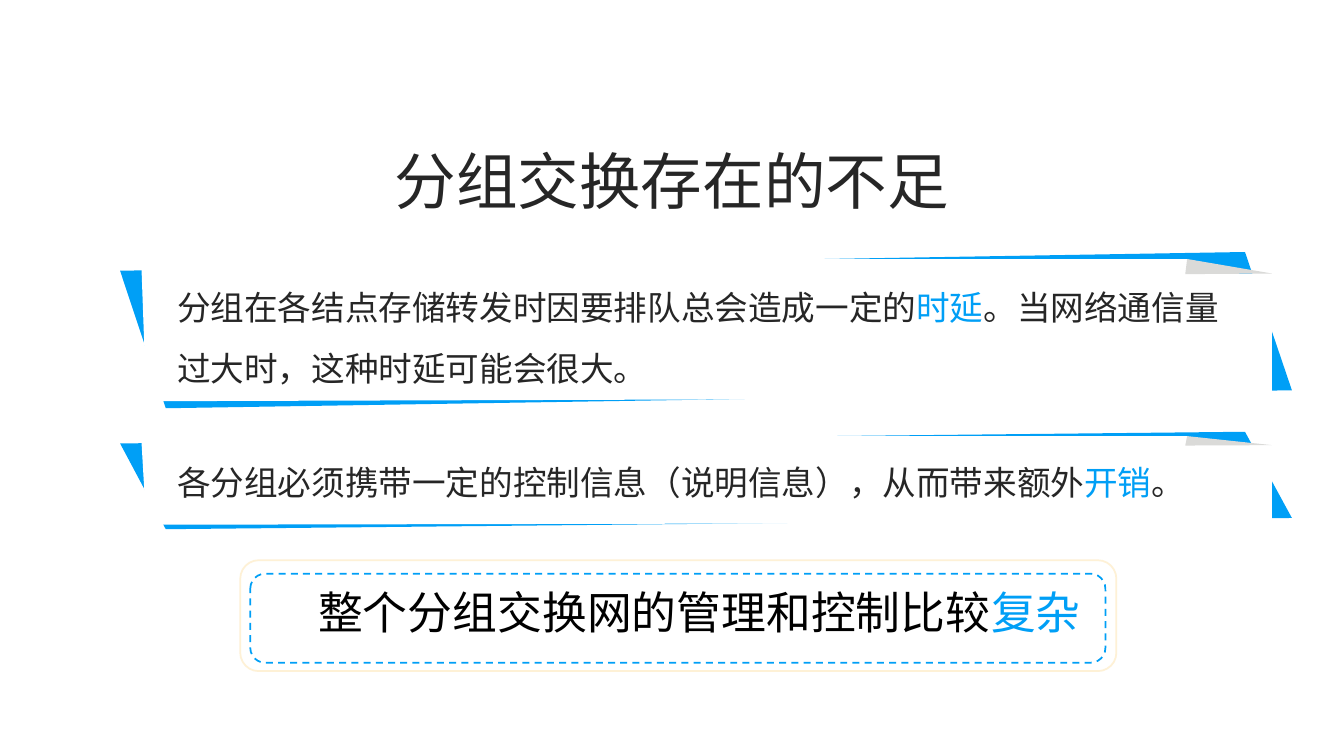
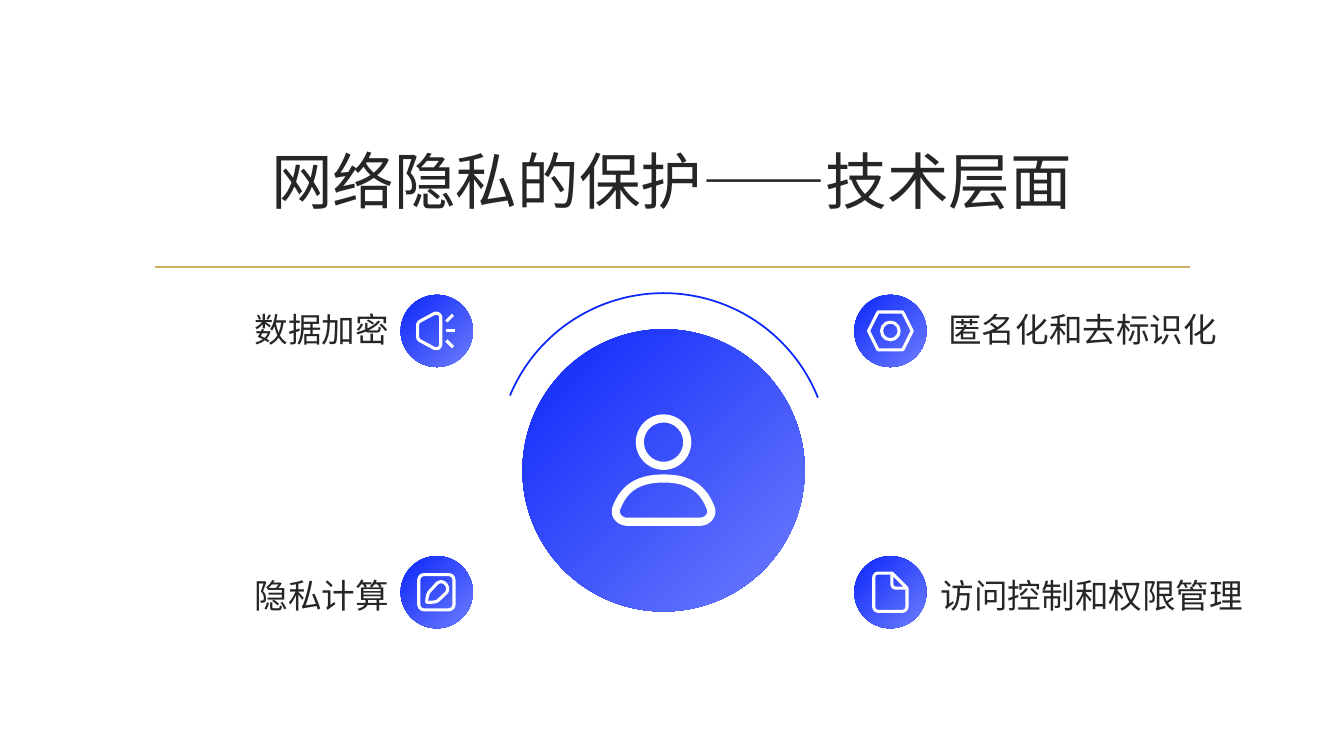
from dataclasses import dataclass

from lxml.etree import SubElement
from pptx import Presentation
from pptx.dml.color import RGBColor
from pptx.enum.dml import MSO_LINE
from pptx.enum.lang import MSO_LANGUAGE_ID
from pptx.enum.shapes import MSO_CONNECTOR, MSO_SHAPE
from pptx.enum.text import MSO_ANCHOR, PP_ALIGN
from pptx.oxml.ns import qn
from pptx.util import Emu, Pt

COLS, ROWS, CELL = 160, 90, 76200
ICON = 0.12


@dataclass(frozen=True)
class Theme:
    ink: str = "262626"
    black: str = "000000"
    white: str = "FFFFFF"
    sky: str = "009FF6"
    fold: str = "DADAD8"
    cream: str = "FEF1D6"
    gold: str = "CBAF62"
    blue: str = "0C27FA"
    pale: str = "6D7DFC"
    sans: str = "Noto Sans CJK SC"
    serif: str = "Times New Roman"
    head: int = 44
    note: int = 32
    body: int = 24
    thin: float = 1.25
    icon: float = 2.2
    bold: float = 5.8


T = Theme()


def grid(*cells):
    return [Emu(round(c * CELL)) for c in cells]


def rgb(code):
    return RGBColor.from_string(code)


def paint(shape, fill=None, line=None, width=T.thin):
    shape.shadow.inherit = False
    if fill:
        shape.fill.solid()
        shape.fill.fore_color.rgb = rgb(fill)
    else:
        shape.fill.background()
    if line:
        shape.line.color.rgb = rgb(line)
        shape.line.width = Pt(width)
    else:
        shape.line.fill.background()
    return shape


def form(slide, kind, box, **look):
    return paint(slide.shapes.add_shape(kind, *grid(*box)), **look)


def disc(slide, x, y, size, **look):
    box = (x - size / 2, y - size / 2, size, size)
    return form(slide, MSO_SHAPE.OVAL, box, **look)


def stroke(slide, start, end, color, width=T.thin):
    line = slide.shapes.add_connector(
        MSO_CONNECTOR.STRAIGHT, *grid(*start, *end))
    line.line.color.rgb = rgb(color)
    line.line.width = Pt(width)
    SubElement(line._element.spPr, qn("a:effectLst"))


def poly(slide, points, close=True, **look):
    first, *rest = [grid(*p) for p in points]
    pen = slide.shapes.build_freeform(*first, scale=1)
    pen.add_line_segments(rest, close=close)
    return paint(pen.convert_to_shape(), **look)


def bend(start, curve, steps=12):
    a, b, c, d = start, curve[:2], curve[2:4], curve[4:]
    for i in range(1, steps + 1):
        t = i / steps
        u = 1 - t
        yield tuple(
            u**3 * p + 3 * u * u * t * q + 3 * u * t * t * r + t**3 * s
            for p, q, r, s in zip(a, b, c, d))


def trace(slide, x, y, moves, width=T.icon, close=True):
    points = []
    for move in moves:
        points += bend(points[-1], move) if len(move) == 6 else [move]
    spots = [(x + a * ICON, y + b * ICON) for a, b in points]
    poly(slide, spots, close, line=T.white, width=width)


def text(slide, box, parts, size=T.body, font=T.sans, color=T.ink,
         align=PP_ALIGN.LEFT, space=None, inset=True,
         anchor=MSO_ANCHOR.TOP):
    frame = slide.shapes.add_textbox(*grid(*box)).text_frame
    frame.word_wrap = True
    frame.vertical_anchor = anchor
    if not inset:
        frame.margin_left = frame.margin_right = 0
        frame.margin_top = frame.margin_bottom = 0
    para = frame.paragraphs[0]
    para.alignment = align
    para.line_spacing = space
    para.font.size = Pt(size)
    para.font.name = font
    para.font.language_id = MSO_LANGUAGE_ID.SIMPLIFIED_CHINESE
    para.font.color.rgb = rgb(color)
    for i, part in enumerate(parts):
        run = para.add_run()
        run.text = part
        if i % 2:
            run.font.color.rgb = rgb(T.sky)


def head(slide, words):
    text(slide, (17, 12.8, 126, 17.2), [words], T.head,
         align=PP_ALIGN.CENTER, anchor=MSO_ANCHOR.MIDDLE)


def band(slide, top, high):
    layers = (
        (T.sky, [(0, 12), (3.9, 100), (100, 88.5), (96, 0)]),
        (T.white, [(1.8, 4.5), (2.24, 95.5), (98.3, 93.3), (98.3, 13.8),
                   (91.06, 13.8), (91.06, 4.5)]),
        (T.fold, [(91.06, 4.5), (98.3, 13.8), (90.9, 14.2)]),
    )
    for color, points in layers:
        spots = [(14.3 + 139.5 * a / 100, top + high * b / 100)
                 for a, b in points]
        poly(slide, spots, fill=color)


def badge(slide, x, y, size):
    fill = disc(slide, x, y, size).fill
    fill.gradient()
    fill.gradient_angle = 315
    for stop, color in zip(fill.gradient_stops, (T.blue, T.pale)):
        stop.color.rgb = rgb(color)


def horn(slide, x, y):
    trace(slide, x, y, [
        (4, -13), (4, 13), (4, 17, 0, 18.5, -3, 17), (-16, 10),
        (-18, 9, -19, 7.5, -19, 5), (-19, -5),
        (-19, -7.5, -18, -9, -16, -10), (-3, -17),
        (0, -18.5, 4, -17, 4, -13)])
    for side in (-1, 0, 1):
        reach = 16 if side else 18.5
        stroke(slide, (x + 9.5 * ICON, y + side * 9.5 * ICON),
               (x + reach * ICON, y + side * 16 * ICON), T.white, T.icon)


def nut(slide, x, y):
    form(slide, MSO_SHAPE.HEXAGON, (x - 2.6, y - 2.25, 5.2, 4.5),
         line=T.white, width=T.icon)
    disc(slide, x, y, 2.1, line=T.white, width=T.icon)


def pen(slide, x, y):
    frame = form(slide, MSO_SHAPE.ROUNDED_RECTANGLE,
                 (x - 2.15, y - 2.1, 4.2, 4.2), line=T.white, width=T.icon)
    frame.adjustments[0] = 0.15
    trace(slide, x, y, [
        (-10, 10), (-10, 10, -10, 2, -7, -1), (0, -8.5),
        (2.5, -11, 6, -11, 8.5, -8.5), (11.5, -5.5, 11.5, -1, 8.5, 1.5),
        (1, 8.5), (-2, 10.5, -10, 10, -10, 10)])


def file(slide, x, y):
    trace(slide, x, y, [
        (1.5, -19), (-11.5, -19), (-14.5, -19, -16.5, -17, -16.5, -14),
        (-16.5, 14), (-16.5, 17, -14.5, 19, -11.5, 19), (11.5, 19),
        (14.5, 19, 16.5, 17, 16.5, 14), (16.5, -4)])
    trace(slide, x, y, [
        (1.5, -19), (1.5, -8.5), (1.5, -5.5, 3, -4, 6.5, -4), (16.5, -4)],
        close=False)


def user(slide, x, y):
    disc(slide, x, y - 28 * ICON, 47 * ICON, line=T.white, width=T.bold)
    trace(slide, x, y, [
        (0, 8), (30, 8, 41, 22, 47, 38), (49, 45, 43, 51, 36, 51),
        (-36, 51), (-43, 51, -49, 45, -47, 38), (-41, 22, -30, 8, 0, 8)],
        width=T.bold)


def limits(slide):
    head(slide, "分组交换存在的不足")
    band(slide, 30, 18.6)
    text(slide, (19.9, 31.2, 129, 14.9),
         ["分组在各结点存储转发时因要排队总会造成一定的", "时延",
          "。当网络通信量过大时，这种时延可能会很大。"],
         font=T.serif, space=1.5)
    band(slide, 51.4, 11.6)
    text(slide, (19.9, 54.4, 123.8, 6),
         ["各分组必须携带一定的控制信息（说明信息），从而带来额外", "开销", "。"],
         font=T.serif)
    form(slide, MSO_SHAPE.ROUNDED_RECTANGLE, (28.6, 66.7, 104.3, 13.2),
         fill=T.white, line=T.cream)
    text(slide, (36.7, 69, 97.3, 11.9),
         ["整个分组交换网的管理和控制比较", "复杂"], T.note, color=T.black)
    dash = form(slide, MSO_SHAPE.ROUNDED_RECTANGLE,
                (29.8, 68.3, 101.8, 10.6), line=T.sky)
    dash.line.dash_style = MSO_LINE.DASH


def guard(slide):
    head(slide, "网络隐私的保护——技术层面")
    stroke(slide, (18.4, 31.8), (141.7, 31.8), T.gold)
    mid, gap, high, low = 79, 27, 39.4, 70.5
    badge(slide, mid, 56, 33.6)
    user(slide, mid, 56)
    arc = form(slide, MSO_SHAPE.ARC, (mid - 19.8, 34.9, 39.6, 39.6),
               line=T.blue)
    for i, angle in enumerate((202.6, 338.2)):
        arc.adjustments[i] = angle * 0.6
    left, right = PP_ALIGN.RIGHT, PP_ALIGN.LEFT
    items = (
        (-gap, high, horn, "数据加密", 8.6, 35.3, left),
        (gap, high, nut, "匿名化和去标识化", 112.9, 35.3, right),
        (-gap, low, pen, "隐私计算", 8.6, 67, left),
        (gap, low, file, "访问控制和权限管理", 112, 67, right),
    )
    for side, y, icon, words, x, top, align in items:
        badge(slide, mid + side, y, 8.6)
        icon(slide, mid + side, y)
        text(slide, (x, top, 37.7, 5.8), [words], align=align,
             space=1.3, inset=False)


def main():
    deck = Presentation()
    deck.slide_width, deck.slide_height = grid(COLS, ROWS)
    for build in (limits, guard):
        build(deck.slides.add_slide(deck.slide_layouts[6]))
    deck.save("out.pptx")


if __name__ == "__main__":
    main()
